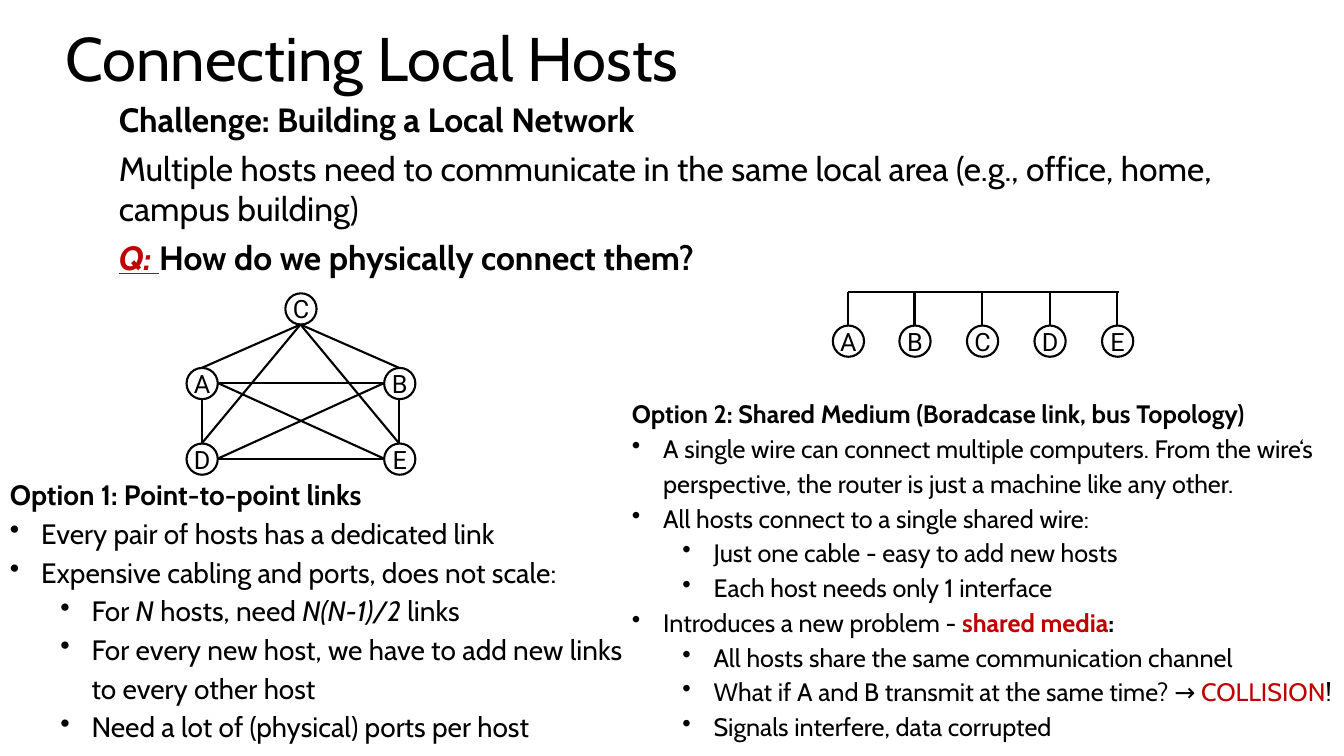
"""Build the slide comparing point-to-point links with a shared medium."""
from dataclasses import dataclass

from lxml import etree
from pptx import Presentation
from pptx import util as u
from pptx.dml.color import RGBColor
from pptx.enum import shapes, text
from pptx.oxml.ns import qn

PX = 9144
BLACK = RGBColor(0, 0, 0)
WHITE = RGBColor(255, 255, 255)
RED = RGBColor(0xC0, 0, 0)
HOST_SIZE = 31
INDENT = 31
LEVEL_STEP = 50


@dataclass(frozen=True)
class Run:
    words: str
    bold: bool = False
    italic: bool = False
    underline: bool = False
    color: RGBColor = BLACK


@dataclass(frozen=True)
class Line:
    runs: tuple[Run, ...]
    level: int | None = None


@dataclass(frozen=True)
class TextBlock:
    box: tuple[int, int, int, int]
    size: int
    lines: tuple[Line, ...]
    spacing: float = 1.0
    space_after: int = 0
    inset: int = 5
    grows: bool = True


@dataclass(frozen=True)
class Host:
    name: str
    left: int
    top: int

    def side(self, name: str) -> tuple[int, int]:
        half = HOST_SIZE // 2
        across, down = {
            "top": (half, 0),
            "left": (0, half),
            "bottom": (half, HOST_SIZE),
            "right": (HOST_SIZE, half),
        }[name]
        return self.left + across, self.top + down


def line(words: str, level: int | None = None, bold: bool = False) -> Line:
    return Line((Run(words, bold),), level)


MESH = {
    host.name: host
    for host in (
        Host("A", 185, 365),
        Host("B", 381, 365),
        Host("D", 185, 440),
        Host("E", 381, 440),
        Host("C", 283, 291),
    )
}
MESH_LINKS = (
    ("A", "right", "B", "left"),
    ("D", "top", "C", "bottom"),
    ("E", "top", "C", "bottom"),
    ("A", "top", "C", "bottom"),
    ("B", "top", "C", "bottom"),
    ("D", "top", "A", "bottom"),
    ("E", "top", "B", "bottom"),
    ("D", "right", "B", "left"),
    ("E", "left", "A", "right"),
    ("E", "left", "D", "right"),
)
BUS = tuple(Host(name, 826 + 267 * i // 4, 323) for i, name in enumerate("ABCDE"))
BUS_Y = 290

TITLE = TextBlock(
    (55, 21, 1223, 81), 44, (line("Connecting Local Hosts"),), spacing=0.9, grows=False
)
OPTION_1 = TextBlock(
    (0, 459, 633, 291),
    20,
    (
        line("Option 1: Point-to-point links", bold=True),
        line("Every pair of hosts has a dedicated link", 0),
        line("Expensive cabling and ports, does not scale:", 0),
        Line(
            (
                Run("For "),
                Run("N", italic=True),
                Run(" hosts, need "),
                Run("N(N-1)/2 ", italic=True),
                Run("links"),
            ),
            1,
        ),
        line("For every new host, we have to add new links to every other host", 1),
        line("Need a lot of (physical) ports per host", 1),
    ),
    spacing=1.15,
    inset=10,
)
OPTION_2 = TextBlock(
    (617, 381, 716, 369),
    18,
    (
        line("Option 2: Shared Medium (Boradcase link, bus Topology)", bold=True),
        line(
            "A single wire can connect multiple computers. From the wire‘s "
            "perspective, the router is just a machine like any other.",
            0,
        ),
        line("All hosts connect to a single shared wire:", 0),
        line("Just one cable - easy to add new hosts", 1),
        line("Each host needs only 1 interface", 1),
        Line(
            (
                Run("Introduces a new problem - "),
                Run("shared media", bold=True, color=RED),
                Run(":", bold=True),
            ),
            0,
        ),
        line("All hosts share the same communication channel", 1),
        Line(
            (
                Run("What if A and B transmit at the same time? → "),
                Run("COLLISION", color=RED),
                Run("!"),
            ),
            1,
        ),
        line("Signals interfere, data corrupted", 1),
    ),
    spacing=1.15,
    inset=10,
)
CHALLENGE = TextBlock(
    (108, 93, 1117, 188),
    24,
    (
        line("Challenge: Building a Local Network", bold=True),
        line(
            "Multiple hosts need to communicate in the same local area "
            "(e.g., office, home, campus building)"
        ),
        Line(
            (
                Run("Q: ", bold=True, italic=True, underline=True, color=RED),
                Run("How do we physically connect them?", bold=True),
            )
        ),
    ),
    space_after=6,
)


def add_run(paragraph, run: Run, size: int, font: str) -> None:
    added = paragraph.add_run()
    added.text = run.words
    added.font.name = font
    added.font.size = u.Pt(size)
    added.font.bold = run.bold
    added.font.italic = run.italic
    added.font.underline = run.underline
    added.font.color.rgb = run.color


def add_bullet(paragraph, level: int) -> None:
    paragraph.level = level
    properties = paragraph._p.get_or_add_pPr()
    properties.set("marL", str((INDENT + LEVEL_STEP * level) * PX))
    properties.set("indent", str(-INDENT * PX))
    etree.SubElement(properties, qn("a:buChar")).set("char", "•")


def add_text(slide, block: TextBlock) -> None:
    frame = slide.shapes.add_textbox(*(value * PX for value in block.box)).text_frame
    frame.word_wrap = True
    if block.grows:
        frame.auto_size = text.MSO_AUTO_SIZE.SHAPE_TO_FIT_TEXT
    else:
        frame.vertical_anchor = text.MSO_ANCHOR.MIDDLE
    frame.margin_left = frame.margin_right = 10 * PX
    frame.margin_top = frame.margin_bottom = block.inset * PX
    for i, content in enumerate(block.lines):
        paragraph = frame.add_paragraph() if i else frame.paragraphs[0]
        paragraph.line_spacing = block.spacing
        paragraph.space_after = u.Pt(block.space_after)
        if content.level is not None:
            add_bullet(paragraph, content.level)
        for run in content.runs:
            add_run(paragraph, run, block.size, "Cabin")


def add_host(group, host: Host) -> None:
    shape = group.shapes.add_shape(
        shapes.MSO_SHAPE.OVAL, host.left * PX, host.top * PX, HOST_SIZE * PX, HOST_SIZE * PX
    )
    shape.shadow.inherit = False
    shape.fill.solid()
    shape.fill.fore_color.rgb = WHITE
    shape.line.color.rgb = BLACK
    shape.line.width = u.Pt(1.5)
    frame = shape.text_frame
    frame.word_wrap = False
    frame.margin_left = frame.margin_right = frame.margin_top = frame.margin_bottom = 0
    frame.vertical_anchor = text.MSO_ANCHOR.MIDDLE
    frame.paragraphs[0].alignment = text.PP_ALIGN.CENTER
    add_run(frame.paragraphs[0], Run(host.name), 18, "Roboto")


def add_link(group, start: tuple[int, int], end: tuple[int, int]) -> None:
    connector = group.shapes.add_connector(
        shapes.MSO_CONNECTOR.STRAIGHT, *(value * PX for value in start + end)
    )
    connector.line.color.rgb = BLACK
    connector.line.width = u.Pt(1.5)
    etree.SubElement(connector._element.spPr, qn("a:effectLst"))


def add_mesh(slide) -> None:
    group = slide.shapes.add_group_shape()
    for host in MESH.values():
        add_host(group, host)
    for first, first_side, second, second_side in MESH_LINKS:
        add_link(group, MESH[first].side(first_side), MESH[second].side(second_side))


def add_bus(slide) -> None:
    group = slide.shapes.add_group_shape()
    for host in BUS:
        add_host(group, host)
        x, y = host.side("top")
        add_link(group, (x, y), (x, BUS_Y))
    add_link(group, (841, BUS_Y), (1110, BUS_Y))


def main() -> None:
    presentation = Presentation()
    presentation.slide_width = 1333 * PX
    presentation.slide_height = 750 * PX
    slide = presentation.slides.add_slide(presentation.slide_layouts[6])
    add_text(slide, TITLE)
    add_mesh(slide)
    add_bus(slide)
    for block in (OPTION_1, OPTION_2, CHALLENGE):
        add_text(slide, block)
    presentation.save("out.pptx")


if __name__ == "__main__":
    main()
